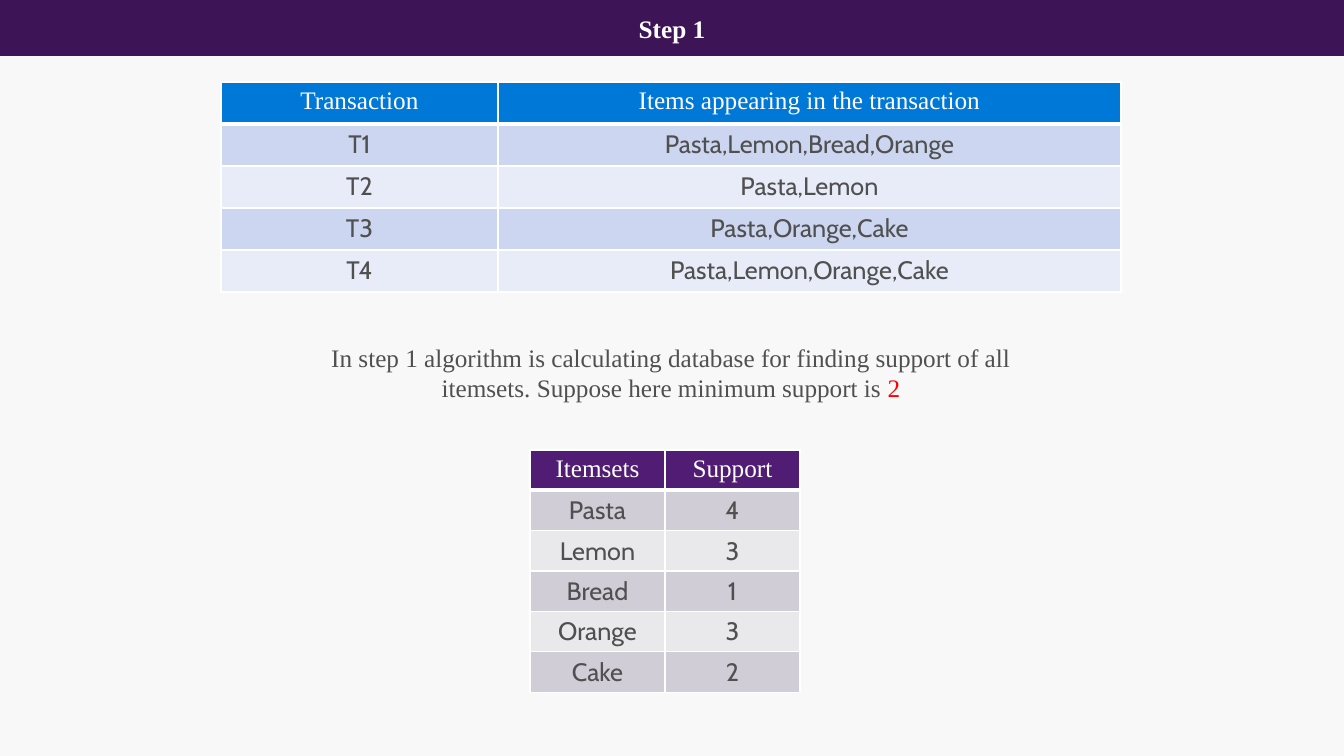
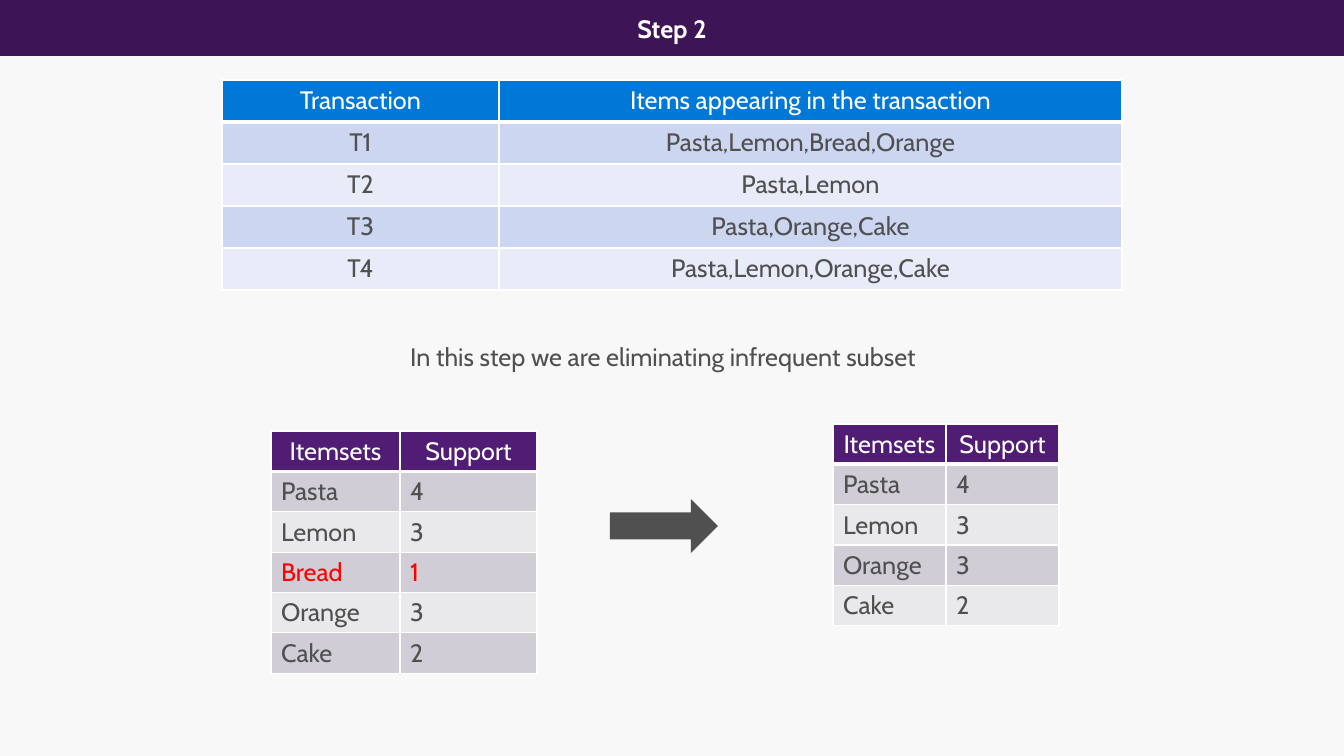
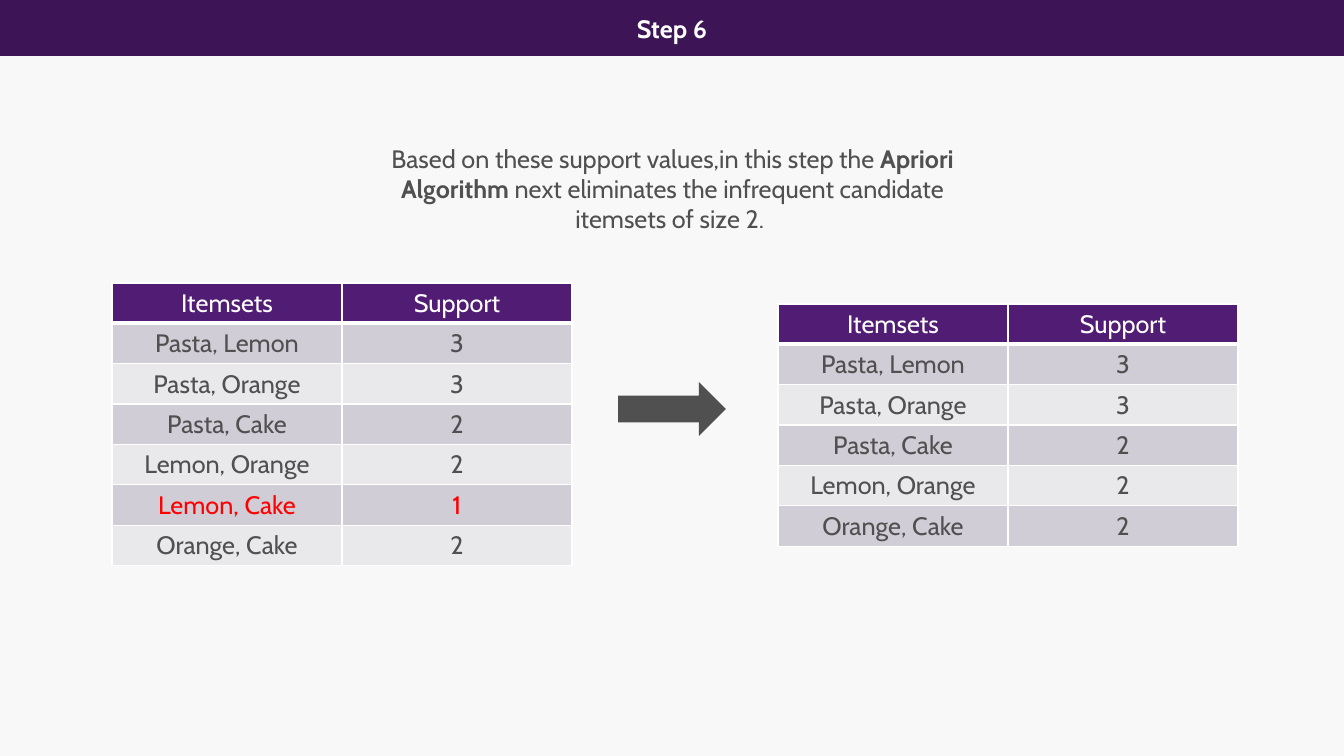
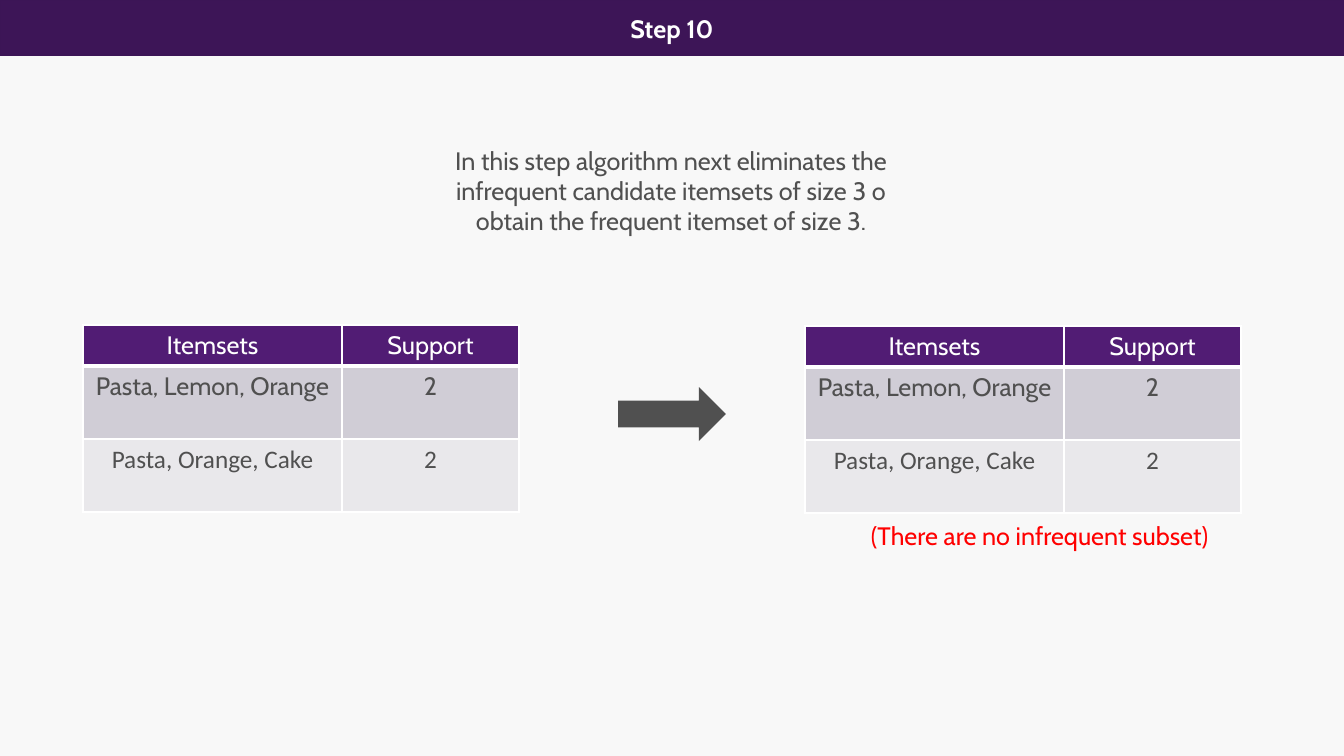
import pptx
import pptx.dml.color
import pptx.enum.shapes
import pptx.enum.text
import pptx.oxml
import pptx.oxml.ns
import pptx.util

PX = 914400 / 100.8
WIDTH, HEIGHT = 1344, 756
MIN_SUPPORT = 2
BODY_FONT, SERIF_FONT, ALT_FONT = "Cabin", "Times New Roman", "Calibri"
COLORS = {
    "background": "F8F8F8",
    "band": "3D1557",
    "band_line": "3C1556",
    "text": "505050",
    "white": "FFFFFF",
    "red": "FF0000",
}
BLUE = {"head": "0078D7", "rows": ("CCD6F0", "E7ECF8")}
PURPLE = {"head": "511C74", "rows": ("D0CDD6", "E9E8EB")}
CENTER = pptx.enum.text.PP_ALIGN.CENTER
LEFT = pptx.enum.text.PP_ALIGN.LEFT

TRANSACTION_HEAD = ("Transaction", "Items appearing in the transaction")
TRANSACTIONS = [
    ("T1", "Pasta,Lemon,Bread,Orange"),
    ("T2", "Pasta,Lemon"),
    ("T3", "Pasta,Orange,Cake"),
    ("T4", "Pasta,Lemon,Orange,Cake"),
]
SUPPORT_HEAD = ("Itemsets", "Support")
SINGLES = [("Pasta", 4), ("Lemon", 3), ("Bread", 1), ("Orange", 3), ("Cake", 2)]
PAIRS = [
    ("Pasta, Lemon", 3),
    ("Pasta, Orange", 3),
    ("Pasta, Cake", 2),
    ("Lemon, Orange", 2),
    ("Lemon, Cake", 1),
    ("Orange, Cake", 2),
]
TRIPLES = [("Pasta, Lemon, Orange", 2), ("Pasta, Orange, Cake", 2)]


def px(n):
    return pptx.util.Emu(round(n * PX))


def rgb(value):
    return pptx.dml.color.RGBColor.from_string(value)


def frequent(itemsets):
    return [(name, support) for name, support in itemsets if support >= MIN_SUPPORT]


def place(sp, box):
    for name, value in zip(("left", "top", "width", "height"), box):
        setattr(sp, name, px(value))


def add_run(p, text, color="text", font=BODY_FONT, bold=False):
    r = p.add_run()
    r.text = text
    values = {"name": font, "size": pptx.util.Pt(18), "bold": bold}
    for name, value in values.items():
        setattr(r.font, name, value)
    r.font.color.rgb = rgb(COLORS[color])


def add_text(slide, box, runs, align=CENTER):
    sp = slide.shapes.add_textbox(*map(px, box))
    tf = sp.text_frame
    tf.word_wrap = True
    tf.auto_size = pptx.enum.text.MSO_AUTO_SIZE.SHAPE_TO_FIT_TEXT
    p = tf.paragraphs[0]
    p.alignment = align
    for text, style in runs:
        add_run(p, text, **style)


def add_solid(slide, kind, box, fill, line=None):
    sp = slide.shapes.add_shape(kind, *map(px, box))
    sp.shadow.inherit = False
    sp.fill.solid()
    sp.fill.fore_color.rgb = rgb(COLORS[fill])
    if line:
        sp.line.color.rgb = rgb(COLORS[line])
        sp.line.width = pptx.util.Pt(0.85)
    else:
        sp.line.fill.background()
    return sp


def add_arrow(slide, left, top):
    kind = pptx.enum.shapes.MSO_SHAPE.RIGHT_ARROW
    add_solid(slide, kind, (left, top, 108, 54), "text")


def set_borders(cell, bottom):
    tc_pr = cell._tc.get_or_add_tcPr()
    for side, width in (("L", 1), ("R", 1), ("T", 1), ("B", bottom)):
        tc_pr.append(pptx.oxml.parse_xml(
            f'<a:ln{side} {pptx.oxml.ns.nsdecls("a")} w="{width * 12700}">'
            f'<a:solidFill><a:srgbClr val="{COLORS["white"]}"/></a:solidFill>'
            f'</a:ln{side}>'
        ))


def fill_cell(cell, text, fill, align, bottom, **style):
    set_borders(cell, bottom)
    cell.fill.solid()
    cell.fill.fore_color.rgb = rgb(fill)
    p = cell.text_frame.paragraphs[0]
    p.alignment = align
    add_run(p, str(text), **style)


def add_grid(slide, at, cols, heights, head, rows, theme=PURPLE, align=CENTER,
             head_font=BODY_FONT, last_font=BODY_FONT, red_row=None):
    head_height, row_height = heights
    height = head_height + row_height * len(rows)
    box = (*at, sum(cols), height)
    table = slide.shapes.add_table(len(rows) + 1, len(cols), *map(px, box)).table
    for column, width in zip(table.columns, cols):
        column.width = px(width)
    for i, row in enumerate(table.rows):
        row.height = px(row_height if i else head_height)
    for cell, text in zip(table.rows[0].cells, head):
        fill_cell(cell, text, theme["head"], CENTER, 3, color="white", font=head_font)
    for i, values in enumerate(rows):
        color = "red" if values[0] == red_row else "text"
        font = last_font if i == len(rows) - 1 else BODY_FONT
        for cell, text in zip(table.rows[i + 1].cells, values):
            fill_cell(cell, text, theme["rows"][i % 2], align, 1, color=color, font=font)


def add_transactions(slide, at, **style):
    add_grid(slide, at, (277, 623), (42, 42), TRANSACTION_HEAD, TRANSACTIONS,
             theme=BLUE, **style)


def add_supports(slide, at, cols, rows, heights=(40, 40), **style):
    add_grid(slide, at, cols, heights, SUPPORT_HEAD, rows, **style)


def set_up_template(prs):
    prs.slide_width, prs.slide_height = px(WIDTH), px(HEIGHT)
    fill = prs.slide_master.background.fill
    fill.solid()
    fill.fore_color.rgb = rgb(COLORS["background"])
    layout = prs.slide_layouts[5]
    title = layout.placeholders[0]
    place(title, (521, 8, 302, 40))
    values = {
        "word_wrap": True,
        "auto_size": pptx.enum.text.MSO_AUTO_SIZE.NONE,
        "vertical_anchor": pptx.enum.text.MSO_ANCHOR.TOP,
    }
    for name, value in values.items():
        setattr(title.text_frame, name, value)
    return layout


def add_slide(prs, layout, title, font=BODY_FONT):
    slide = prs.slides.add_slide(layout)
    kind = pptx.enum.shapes.MSO_SHAPE.RECTANGLE
    band = add_solid(slide, kind, (0, 0, WIDTH, 55), "band", "band_line")
    slide.shapes._spTree.insert(2, band._element)
    p = slide.shapes.title.text_frame.paragraphs[0]
    p.alignment = CENTER
    add_run(p, title, "white", font, True)
    return slide


def add_step_1(prs, layout):
    slide = add_slide(prs, layout, "Step 1", SERIF_FONT)
    add_transactions(slide, (221, 82), head_font=SERIF_FONT)
    add_text(slide, (294, 337, 754, 70), [
        ("In step 1 algorithm is calculating database for finding support of all "
         "itemsets. Suppose here minimum support is ", {"font": SERIF_FONT}),
        (str(MIN_SUPPORT), {"font": SERIF_FONT, "color": "red"}),
    ])
    add_supports(slide, (530, 450), (135, 135), SINGLES, head_font=SERIF_FONT)


def add_step_2(prs, layout):
    slide = add_slide(prs, layout, "Step 2")
    add_transactions(slide, (222, 80))
    add_text(slide, (286, 336, 754, 40),
             [("In this step we are eliminating infrequent subset", {})])
    add_supports(slide, (271, 431), (129, 137), SINGLES, align=LEFT, red_row="Bread")
    add_arrow(slide, 610, 499)
    add_supports(slide, (833, 424), (113, 113), frequent(SINGLES), align=LEFT)


def add_step_6(prs, layout):
    slide = add_slide(prs, layout, "Step 6")
    add_text(slide, (366, 138, 613, 100), [
        ("Based on these support values,in this step the ", {}),
        ("Apriori Algorithm", {"bold": True}),
        (" next eliminates the infrequent candidate itemsets of size 2. ", {}),
    ])
    add_supports(slide, (112, 283), (230, 230), PAIRS, red_row="Lemon, Cake")
    add_supports(slide, (778, 304), (230, 230), frequent(PAIRS))
    add_arrow(slide, 618, 382)


def add_step_10(prs, layout):
    slide = add_slide(prs, layout, "Step 10")
    add_text(slide, (436, 140, 470, 100), [
        ("In this step algorithm next eliminates the infrequent candidate itemsets "
         "of size 3 o obtain the frequent itemset of size 3.", {}),
    ])
    style = {"cols": (259, 177), "heights": (41, 73), "last_font": ALT_FONT}
    add_supports(slide, (83, 325), rows=TRIPLES, **style)
    add_arrow(slide, 618, 387)
    add_supports(slide, (805, 326), rows=frequent(TRIPLES), **style)
    add_text(slide, (861, 515, 413, 40),
             [("(There are no infrequent subset)", {"color": "red"})], LEFT)


def main():
    prs = pptx.Presentation()
    layout = set_up_template(prs)
    for add_step in (add_step_1, add_step_2, add_step_6, add_step_10):
        add_step(prs, layout)
    prs.save("out.pptx")


if __name__ == "__main__":
    main()
